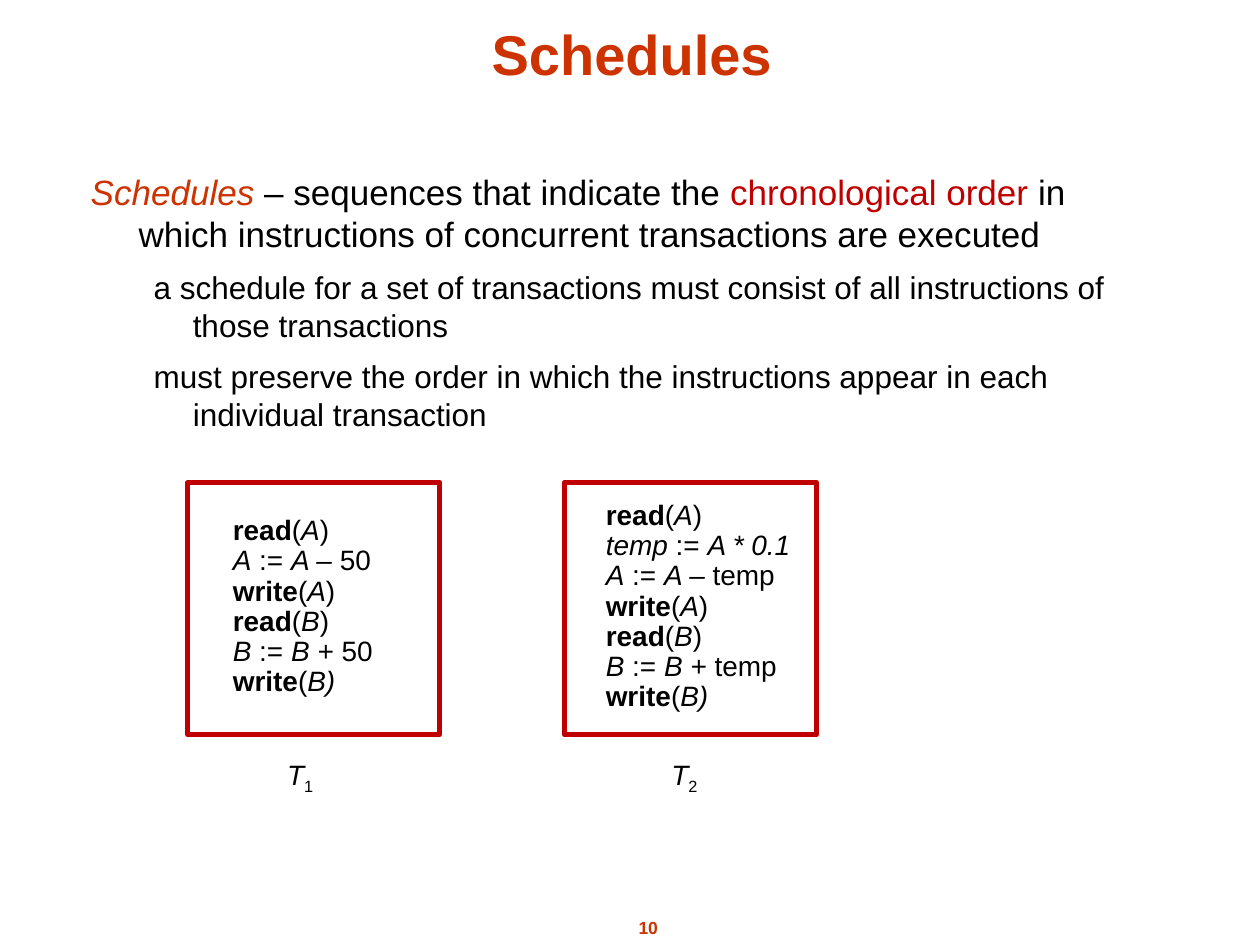
from dataclasses import dataclass

from lxml.etree import SubElement
from pptx import Presentation
from pptx.dml.color import RGBColor
from pptx.enum.shapes import MSO_SHAPE as Shape
from pptx.enum.text import MSO_ANCHOR as Anchor, MSO_AUTO_SIZE as AutoSize, PP_ALIGN as Align
from pptx.oxml.ns import qn
from pptx.util import Inches, Pt

COLUMNS, ROWS = 100, 75
SLIDE_WIDTH, SLIDE_HEIGHT = Inches(10), Inches(7.5)


@dataclass(frozen=True)
class Theme:
    font: str = "Arial"
    accent: str = "CC3300"
    red: str = "C00000"
    ink: str = "000000"
    title: int = 32
    lead: int = 20
    detail: int = 18
    code: int = 16
    number: int = 10
    border: int = 3


THEME = Theme()


def grid(column, row, columns, rows):
    """Turn grid cells into left, top, width and height."""
    across, down = SLIDE_WIDTH / COLUMNS, SLIDE_HEIGHT / ROWS
    return [round(n) for n in (column * across, row * down, columns * across, rows * down)]


def place(shape, cells):
    shape.left, shape.top, shape.width, shape.height = grid(*cells)


def write(para, spans, size, color=THEME.ink, align=Align.LEFT, level=0,
          margin=0, hanging=0, before=0, spacing=1.0):
    """Fill a paragraph with (text, style, colour) spans; style letters: b, i, s (subscript)."""
    properties = para._p.get_or_add_pPr()
    properties.set("marL", str(Inches(margin)))
    properties.set("indent", str(-Inches(hanging)))
    SubElement(properties, qn("a:buNone"))
    para.level, para.alignment = level, align
    para.space_before, para.line_spacing = Pt(before), spacing
    for text, style, *own_color in spans:
        span = para.add_run()
        span.text = text
        font = span.font
        font.name, font.size = THEME.font, Pt(size)
        font.bold, font.italic = "b" in style, "i" in style
        font.color.rgb = RGBColor.from_string(own_color[0] if own_color else color)
        if "s" in style:
            span._r.get_or_add_rPr().set("baseline", "-25000")


def add_text(page, cells, lines, wrap=True, **text_format):
    frame = page.shapes.add_textbox(*grid(*cells)).text_frame
    frame.word_wrap = wrap
    for index, spans in enumerate(lines):
        para = frame.add_paragraph() if index else frame.paragraphs[0]
        write(para, spans, **text_format)


def add_title(page, text):
    title = page.shapes.title
    place(title, (6, 0.7, 88.3, 6.7))
    frame = title.text_frame
    frame.auto_size, frame.vertical_anchor = AutoSize.NONE, Anchor.BOTTOM
    write(frame.paragraphs[0], [(text, "b")], THEME.title, THEME.accent, Align.CENTER)


def add_body(page, lead, details):
    body = page.placeholders[1]
    place(body, (6.2, 13, 85.8, 37.8))
    frame = body.text_frame
    frame.auto_size, frame.vertical_anchor = AutoSize.NONE, Anchor.TOP
    write(frame.paragraphs[0], lead, THEME.lead, margin=0.38, hanging=0.38)
    for detail in details:
        write(frame.add_paragraph(), [(detail, "")], THEME.detail, level=1,
              margin=0.81, hanging=0.31, before=7.9)


def add_frame(page, cells):
    box = page.shapes.add_shape(Shape.RECTANGLE, *grid(*cells))
    box.shadow.inherit = False
    box.fill.background()
    box.line.color.rgb = RGBColor.from_string(THEME.red)
    box.line.width = Pt(THEME.border)


def call(action, item):
    return [(action, "b"), ("(", ""), (item, "i"), (")", "")]


def last_call(action, item):
    """A call whose closing bracket is italic too."""
    return [(action, "b"), ("(", ""), (item + ")", "i")]


def assign(target, left, right="", right_style=""):
    spans = [(target, "i"), (" := ", ""), (left, "i")]
    return spans + [(right, right_style)] if right else spans


def add_transaction(page, number, frame_left, code_cells, label_left, lines):
    add_frame(page, (frame_left, 38.3, 20, 20))
    add_text(page, code_cells, lines, size=THEME.code, level=1, margin=0.5, spacing=0.9)
    add_text(page, (label_left, 59.6, 5.1, 4.1), [[("T", "i"), (number, "s")]],
             size=THEME.code)


def transfer(amount, *extra):
    """Lines that move an amount from A to B, with extra lines after the first read."""
    return [call("read", "A"), *extra, assign("A", "A – ", amount), call("write", "A"),
            call("read", "B"), assign("B", "B + ", amount), last_call("write", "B")]


def main():
    deck = Presentation()
    deck.slide_width, deck.slide_height = SLIDE_WIDTH, SLIDE_HEIGHT
    page = deck.slides.add_slide(deck.slide_layouts[1])

    add_text(page, (47.1, 72.3, 8.7, 2.7), [[("10", "b")]], wrap=False,
             size=THEME.number, color=THEME.accent, align=Align.CENTER)
    add_title(page, "Schedules")
    add_body(
        page,
        [("Schedules", "i", THEME.accent),
         (" – sequences that indicate the ", ""),
         ("chronological order", "", THEME.red),
         (" in which instructions of concurrent transactions are executed", "")],
        ["a schedule for a set of transactions must consist of all instructions "
         "of those transactions",
         "must preserve the order in which the instructions appear in each "
         "individual transaction"])
    add_transaction(page, "1", 14.9, (12.5, 40.5, 18.4, 15.4), 21.8, transfer("50"))
    add_transaction(page, "2", 44.8, (42.1, 39.3, 22.2, 17.8), 52.3,
                    transfer("temp", assign("temp", "A * 0.1")))
    deck.save("out.pptx")


if __name__ == "__main__":
    main()
